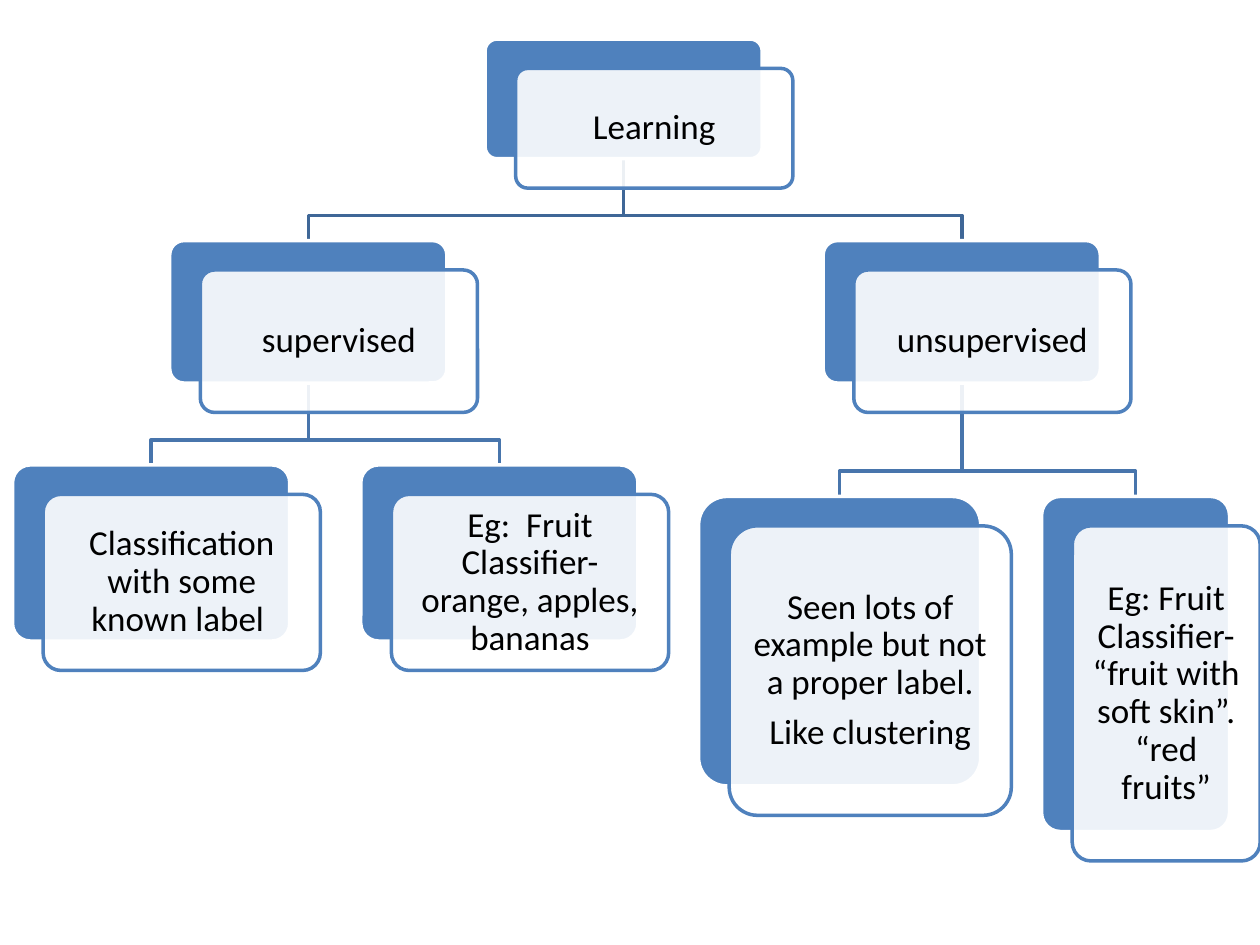
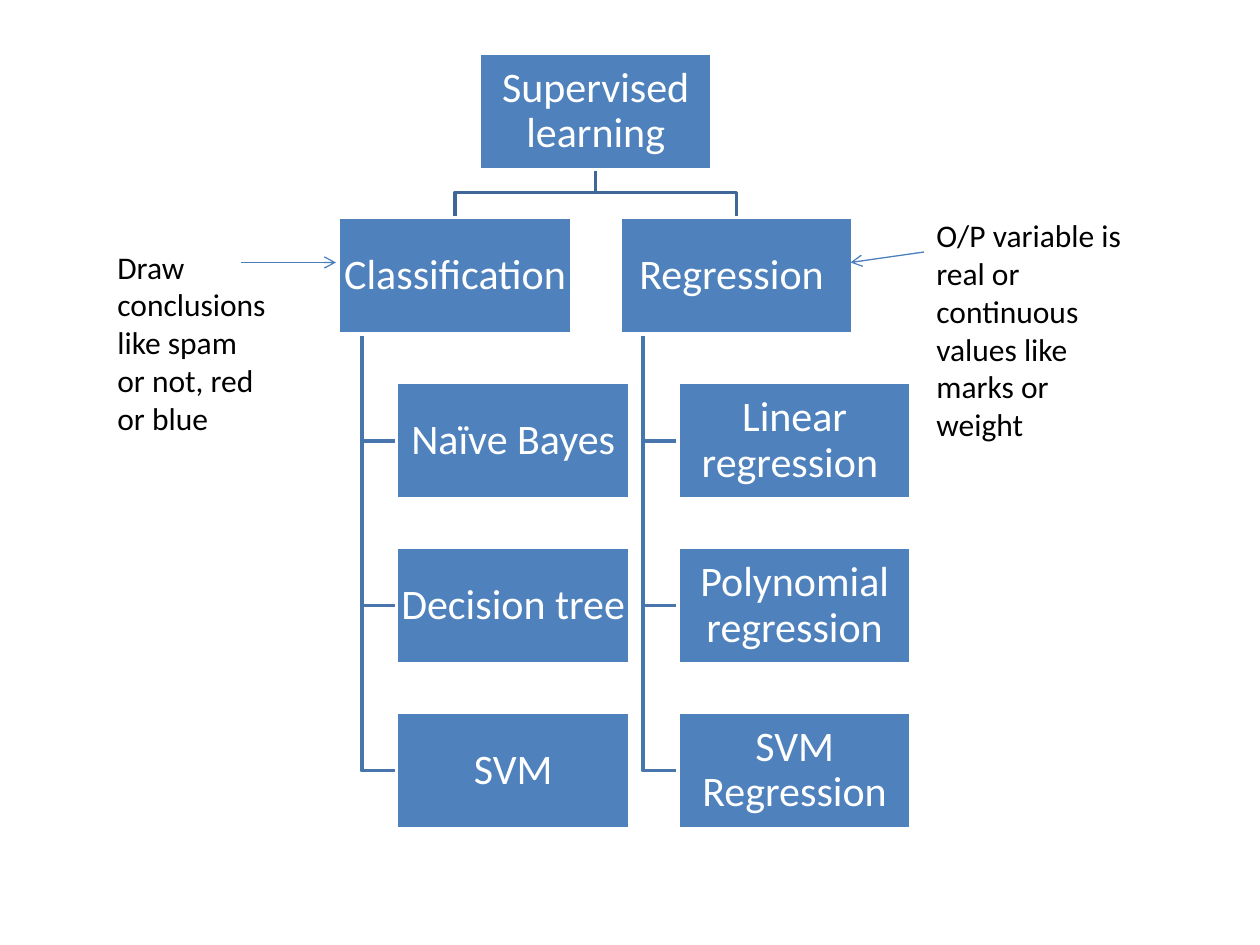
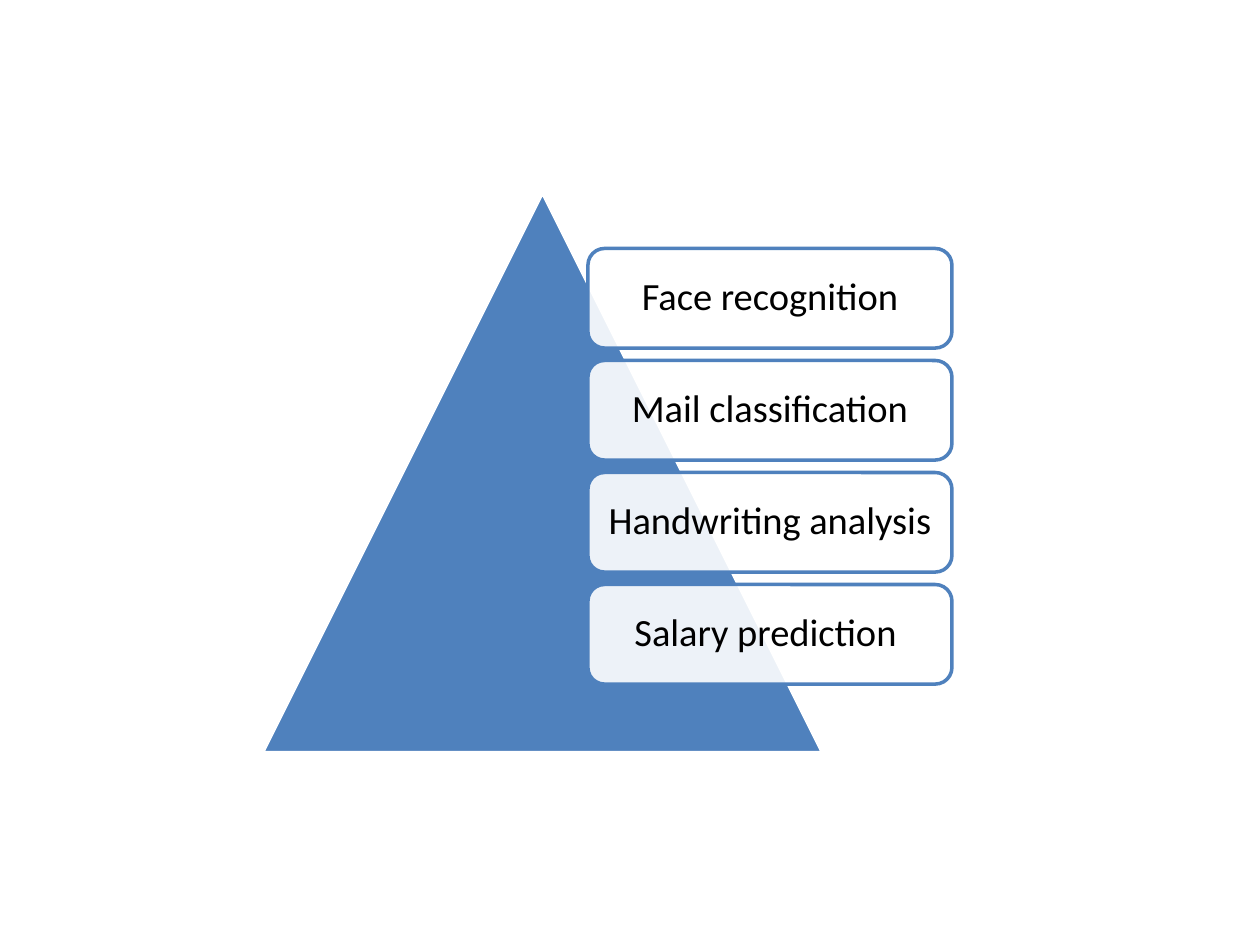
from dataclasses import dataclass

from lxml import etree
from pptx import Presentation
from pptx.dml.color import RGBColor
from pptx.enum.shapes import MSO_CONNECTOR, MSO_SHAPE
from pptx.enum.text import MSO_ANCHOR, MSO_AUTO_SIZE, PP_ALIGN
from pptx.oxml.ns import qn
from pptx.util import Pt

ROUND = MSO_SHAPE.ROUNDED_RECTANGLE
RECT = MSO_SHAPE.RECTANGLE
PEAK = MSO_SHAPE.ISOSCELES_TRIANGLE
STRAIGHT = MSO_CONNECTOR.STRAIGHT
MIDDLE = MSO_ANCHOR.MIDDLE
CENTER = PP_ALIGN.CENTER
LEFT = PP_ALIGN.LEFT
GROW = MSO_AUTO_SIZE.SHAPE_TO_FIT_TEXT


@dataclass(frozen=True)
class Theme:
    font: str = "Calibri"
    blue: str = "4F81BD"
    white: str = "FFFFFF"
    black: str = "000000"
    upper: str = "3F6797"  # links below the root
    lower: str = "4875AC"  # links below the second level
    arrow: str = "4B7EBC"
    card: int = 20
    box: int = 24
    topic: int = 22
    note: int = 18
    edge: float = 2
    thin: float = 0.75
    veil: int = 90  # opacity of white cards, percent


THEME = Theme()
BEND = 14.4  # height of a link's last leg
SHIFT = (17.5, 16.8)  # front card against back card


# Shared helpers
def apply(target, values):
    for name, value in values.items():
        setattr(target, name, value)


def pts(*values):
    return [Pt(value) for value in values]


def stroke(line, color, width):
    line.color.rgb = RGBColor.from_string(color)
    line.width = Pt(width)


def write(frame, lines, size, color, align):
    frame.word_wrap = True
    for i, line in enumerate(lines):
        para = frame.paragraphs[0] if i == 0 else frame.add_paragraph()
        para.alignment = align
        run = para.add_run()
        run.text = line
        apply(run.font, {"name": THEME.font, "size": Pt(size)})
        run.font.color.rgb = RGBColor.from_string(color)


def label(shape, lines, size, color, inset):
    frame = shape.text_frame
    sides = ("left", "top", "right", "bottom")
    apply(frame, {f"margin_{side}": Pt(inset) for side in sides})
    frame.vertical_anchor = MIDDLE
    write(frame, lines, size, color, CENTER)
    for para in frame.paragraphs:
        apply(para, {"line_spacing": 0.9, "space_after": Pt(0.35 * size)})


# Kinds of element
def block(slide, kind, area, fill=THEME.blue, edge=THEME.white):
    shape = slide.shapes.add_shape(kind, *pts(*area))
    shape.shadow.inherit = False
    shape.fill.solid()
    shape.fill.fore_color.rgb = RGBColor.from_string(fill)
    stroke(shape.line, edge, THEME.edge)
    return shape


def veil(slide, area, lines, size):
    shape = block(slide, ROUND, area, THEME.white, THEME.blue)
    tint = shape.element.spPr.find(qn("a:solidFill")).find(qn("a:srgbClr"))
    etree.SubElement(tint, qn("a:alpha"), val=str(THEME.veil * 1000))
    label(shape, lines, size, THEME.black, 0.3 * size)
    return shape


def card(slide, area, lines):
    x, y, w, h = area
    back = block(slide, ROUND, area)
    front = veil(slide, (x + SHIFT[0], y + SHIFT[1], w, h), lines, THEME.card)
    for shape in (back, front):
        shape.adjustments[0] = 0.1


def box(slide, area, text):
    label(block(slide, RECT, area), [text], THEME.box, THEME.white, 1.2)


def trace(slide, points, color):
    start, *rest = [pts(*point) for point in points]
    pen = slide.shapes.build_freeform(*start)
    pen.add_line_segments(rest, close=False)
    shape = pen.convert_to_shape()
    shape.shadow.inherit = False
    shape.fill.background()
    stroke(shape.line, color, THEME.edge)


def link(slide, top, child, color):
    """Join the foot of one area to the head of the area below it."""
    x, y = top[0] + top[2] / 2, top[1] + top[3]
    end, head = child[0] + child[2] / 2, child[1]
    turn = head - BEND
    trace(slide, [(x, y), (x, turn), (end, turn), (end, head)], color)


def branch(slide, top, child):
    """Join a trunk below one area to the left side of another."""
    x, foot = top[0] + top[2] / 10, top[1] + top[3]
    y = child[1] + child[3] / 2
    trace(slide, [(x, foot), (x, y), (child[0], y)], THEME.lower)


def note(slide, area, text):
    frame = slide.shapes.add_textbox(*pts(*area)).text_frame
    write(frame, [text], THEME.note, THEME.black, LEFT)
    frame.auto_size = GROW


def arrow(slide, start, end):
    line = slide.shapes.add_connector(STRAIGHT, *pts(*start, *end))
    stroke(line.line, THEME.arrow, THEME.thin)
    props = line.element.spPr
    etree.SubElement(props.find(qn("a:ln")), qn("a:tailEnd"), type="arrow")
    etree.SubElement(props, qn("a:effectLst"))


# Slides
def kinds(slide):
    root = (277.2, 22.3, 158.4, 68.4)
    known = (97, 137.5, 158.4, 81.4)
    unknown = (470.4, 137.5, 158.4, 81.4)
    cards = [
        (root, None, ["Learning"]),
        (known, root, ["supervised"]),
        ((7.2, 265.7, 158.4, 100.6), known,
         ["Classification with some known label "]),
        ((206.2, 265.7, 158.4, 100.6), known,
         ["Eg:  Fruit Classifier- orange, apples, bananas"]),
        (unknown, root, ["unsupervised"]),
        ((399.2, 283.7, 161.2, 165.4), unknown,
         ["Seen lots of example but not a proper label.", "Like clustering"]),
        ((595.2, 283.7, 107.4, 191.5), unknown,
         ["Eg: Fruit Classifier- “fruit with soft skin”. “red fruits”"]),
    ]
    for area, top, _ in cards:
        if top:
            link(slide, top, area, THEME.upper if top is root else THEME.lower)
    for area, _, lines in cards:
        card(slide, area, lines)


def methods(slide):
    wide, high, gap = 133.2, 66.6, 27.6
    left, head = 193.4, 30.2
    groups = [
        ("Classification", ["Naïve Bayes", "Decision tree", "SVM"]),
        ("Regression ", ["Linear regression ", "Polynomial regression",
                         "SVM Regression"]),
    ]

    def place(x, row):
        return x, head + row * (high + gap), wide, high

    root = place(left + (wide + gap) / 2, 0)
    boxes = [(root, "Supervised learning")]
    for col, (title, names) in enumerate(groups):
        x = left + col * (wide + gap)
        top = place(x, 1)
        link(slide, root, top, THEME.upper)
        boxes.append((top, title))
        for row, name in enumerate(names, 2):
            area = place(x + wide / 4, row)
            branch(slide, top, area)
            boxes.append((area, name))
    for area, text in boxes:
        box(slide, area, text)

    note(slide, (528, 120, 120, 138),
         "O/P variable is real or continuous values like marks or weight")
    note(slide, (60, 138, 102, 116.6),
         "Draw conclusions like spam or not, red or blue")
    arrow(slide, (138, 150), (192, 150))
    arrow(slide, (528, 144), (486, 150))


def uses(slide):
    block(slide, PEAK, (150, 110, 320, 320))
    topics = ["Face recognition", "Mail classification",
              "Handwriting analysis", "Salary prediction "]
    for i, topic in enumerate(topics):
        veil(slide, (336, 142 + 64 * i, 208, 56.9), [topic], THEME.topic)


def main():
    deck = Presentation()
    apply(deck, {"slide_width": Pt(720), "slide_height": Pt(540)})
    for build in (kinds, methods, uses):
        build(deck.slides.add_slide(deck.slide_layouts[6]))
    deck.save("out.pptx")


if __name__ == "__main__":
    main()
